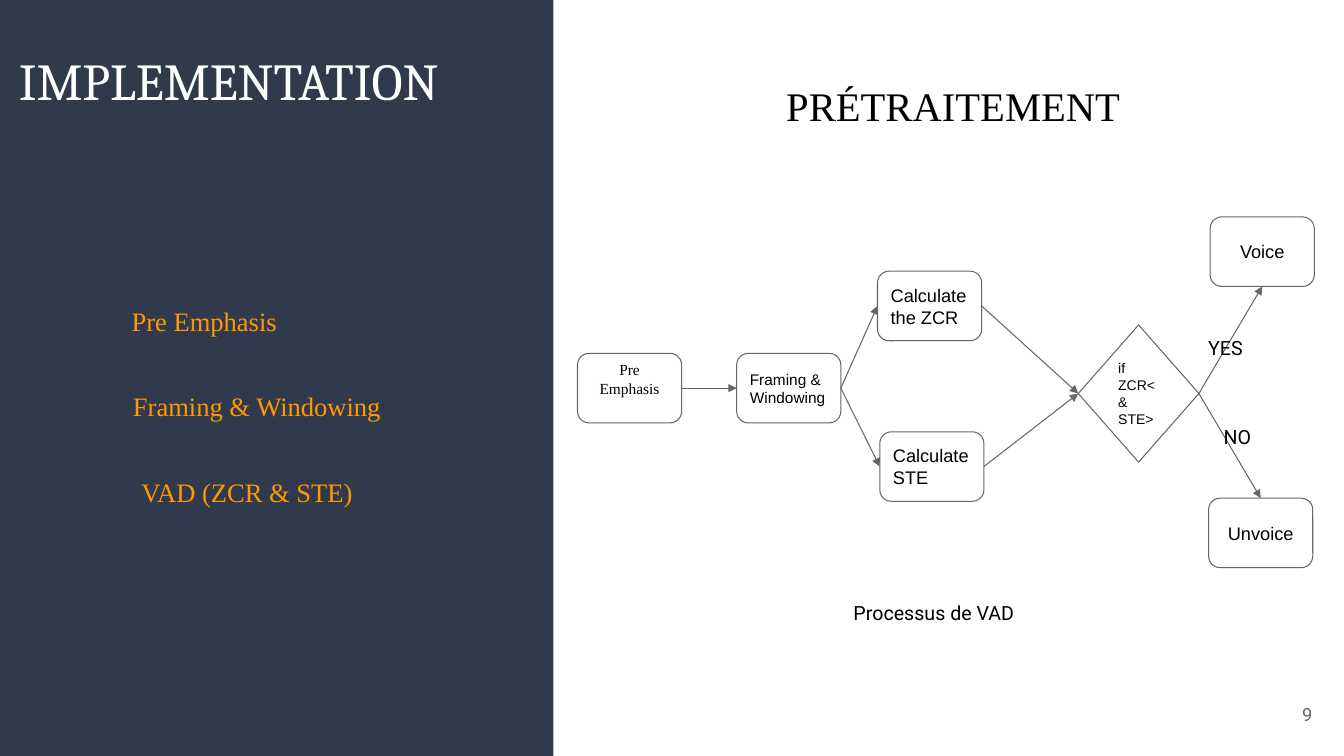
import dataclasses

import pptx
import pptx.dml.color
import pptx.enum.shapes
import pptx.enum.text
import pptx.oxml.ns
import pptx.util
from lxml import etree

Pt = pptx.util.Pt
ALIGN = pptx.enum.text.PP_ALIGN
ANCHOR = pptx.enum.text.MSO_ANCHOR
SHAPE = pptx.enum.shapes.MSO_SHAPE
TOP, LEFT, BOTTOM, RIGHT = range(4)


@dataclasses.dataclass(frozen=True)
class Theme:
    # Colours
    panel: str = "31394D"
    paper: str = "FFFFFF"
    ink: str = "000000"
    accent: str = "FF9900"
    line: str = "666666"
    # Fonts
    serif: str = "Times New Roman"
    heading: str = "Cambria"
    sans: str = "Arial"
    label: str = "Roboto"
    # Type sizes
    section_size: float = 37
    title_size: float = 29
    list_size: float = 19
    label_size: float = 14
    node_size: float = 13
    small_size: float = 11
    test_size: float = 10


def rgb(code):
    return pptx.dml.color.RGBColor.from_string(code)


def sub(parent, tag, **attributes):
    return etree.SubElement(parent, pptx.oxml.ns.qn(tag), **attributes)


def write(frame, text, *, size, font, color, align=ALIGN.LEFT,
          anchor=ANCHOR.TOP, inset=7, inset_top=None, gap=0):
    """Fill a text frame, one paragraph per line of text."""
    frame.word_wrap = True
    frame.auto_size = pptx.enum.text.MSO_AUTO_SIZE.NONE
    frame.vertical_anchor = anchor
    frame.margin_left = frame.margin_right = frame.margin_bottom = Pt(inset)
    frame.margin_top = Pt(inset if inset_top is None else inset_top)
    for index, line in enumerate(text.split("\n")):
        paragraph = frame.add_paragraph() if index else frame.paragraphs[0]
        paragraph.alignment = align
        paragraph.space_before = Pt(gap if index else 0)
        run = paragraph.add_run()
        run.text = line
        run.font.size = Pt(size)
        run.font.name = font
        run.font.color.rgb = rgb(color)


class Deck:
    def __init__(self, theme):
        self.theme = theme
        self.file = pptx.Presentation()
        self.file.slide_width, self.file.slide_height = Pt(960), Pt(540)
        self.slide = self.file.slides.add_slide(self.file.slide_layouts[1])

    def panel(self, *box):
        panel = self.shape(SHAPE.RECTANGLE, box, self.theme.panel)
        panel.line.fill.background()
        # Send the panel behind the placeholders
        panel.element.getparent().insert(2, panel.element)

    def shape(self, kind, box, fill):
        shape = self.slide.shapes.add_shape(kind, *map(Pt, box))
        shape.shadow.inherit = False
        shape.fill.solid()
        shape.fill.fore_color.rgb = rgb(fill)
        return shape

    def placeholder(self, index, box, text, **style):
        holder = self.slide.placeholders[index]
        holder.left, holder.top, holder.width, holder.height = map(Pt, box)
        write(holder.text_frame, text, **style)
        return holder

    def bullets_off(self, holder, indents):
        for paragraph, indent in zip(holder.text_frame.paragraphs, indents):
            properties = paragraph._p.get_or_add_pPr()
            properties.set("marL", str(int(Pt(indent))))
            properties.set("indent", "0")
            sub(properties, "a:buNone")

    def text(self, box, text, **style):
        frame = self.slide.shapes.add_textbox(*map(Pt, box)).text_frame
        write(frame, text, **style)

    def node(self, left, top, text, kind=SHAPE.ROUNDED_RECTANGLE,
             width=74.4, height=49.7, **style):
        node = self.shape(kind, (left, top, width, height), self.theme.paper)
        node.line.color.rgb = rgb(self.theme.line)
        node.line.width = Pt(0.75)
        style = dict(size=self.theme.node_size, font=self.theme.sans,
                     color=self.theme.ink, anchor=ANCHOR.MIDDLE) | style
        write(node.text_frame, text, **style)
        return node

    def arrow(self, start, start_side, end, end_side):
        arrow = self.slide.shapes.add_connector(
            pptx.enum.shapes.MSO_CONNECTOR.STRAIGHT, 0, 0, 0, 0)
        arrow.begin_connect(start, start_side)
        arrow.end_connect(end, end_side)
        arrow.line.color.rgb = rgb(self.theme.line)
        arrow.line.width = Pt(0.75)
        sub(arrow.line._get_or_add_ln(), "a:tailEnd", type="triangle")
        sub(arrow.element.spPr, "a:effectLst")


def main():
    theme = Theme()
    deck = Deck(theme)

    # Side panel with the section name and its steps
    deck.panel(0, 0, 395.3, 540)
    deck.text((6.5, 28, 377, 41), "IMPLEMENTATION", size=theme.section_size,
              font=theme.heading, color=theme.paper)
    steps = deck.placeholder(
        1, (87, 211, 199, 161),
        "Pre Emphasis\nFraming & Windowing\nVAD (ZCR & STE)",
        size=theme.list_size, font=theme.serif, color=theme.accent, gap=38)
    deck.bullets_off(steps, (0, 1, 7))

    # Title
    deck.placeholder(0, (552.2, 48.2, 268.6, 49.7), "PRÉTRAITEMENT",
                     size=theme.title_size, font=theme.serif,
                     color=theme.ink, inset=9.4)

    # Flow chart nodes
    emphasis = deck.node(412.5, 252.4, "Pre Emphasis", font=theme.serif,
                         size=theme.small_size, align=ALIGN.CENTER,
                         anchor=ANCHOR.TOP, inset_top=2.5)
    framing = deck.node(526.2, 252.4, "Framing & Windowing",
                        size=theme.small_size)
    ste = deck.node(628.4, 308.4, "Calculate STE")
    zcr = deck.node(626.8, 193.7, "Calculate the ZCR")
    test = deck.node(770.2, 232.1, "if ZCR< & STE>", kind=SHAPE.DIAMOND,
                     width=86.2, height=98, size=theme.test_size)
    unvoice = deck.node(863.3, 355.8, "Unvoice", align=ALIGN.CENTER)
    voice = deck.node(864.4, 154.9, "Voice", align=ALIGN.CENTER)

    # Flow chart arrows
    for start, end, end_side in (
            (emphasis, framing, LEFT), (framing, zcr, LEFT),
            (framing, ste, LEFT), (zcr, test, LEFT), (ste, test, LEFT),
            (test, unvoice, TOP), (test, voice, BOTTOM)):
        deck.arrow(start, RIGHT, end, end_side)

    # Branch labels and caption
    label = dict(size=theme.label_size, font=theme.label, color=theme.ink)
    deck.text((856, 232.6, 46, 41), "YES", **label)
    deck.text((867, 296.6, 46, 41), "NO", **label)
    deck.text((590.4, 422, 153.4, 41), "Processus de VAD",
              align=ALIGN.CENTER, **label)

    # Page number
    deck.text((889.2, 489.6, 57.6, 41), "9", size=theme.node_size,
              font=theme.label, color=theme.line, align=ALIGN.RIGHT,
              anchor=ANCHOR.MIDDLE, inset=9.4)

    deck.file.save("out.pptx")


if __name__ == "__main__":
    main()
